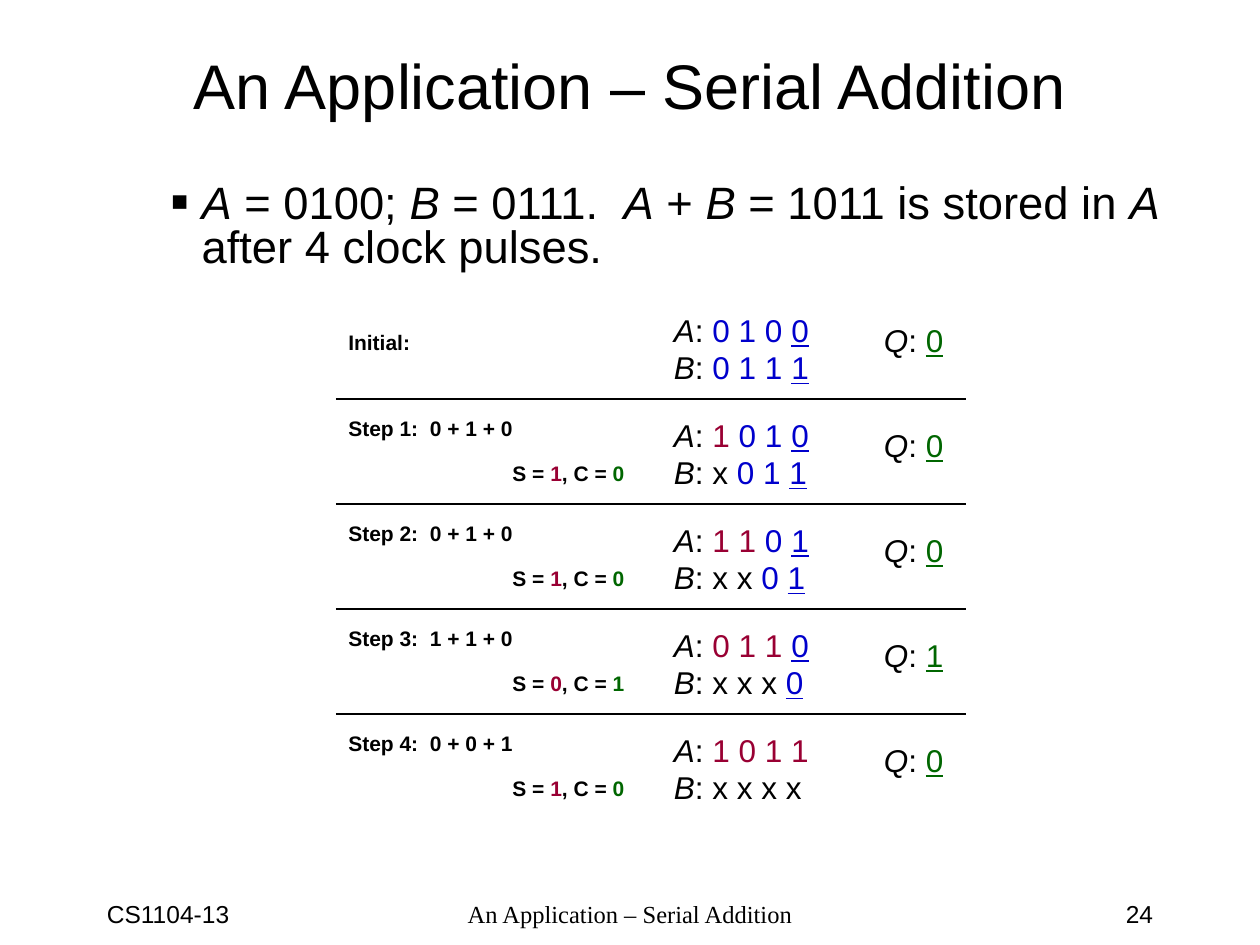
from lxml import etree
from pptx import Presentation
from pptx import util as u
from pptx.dml.color import RGBColor
from pptx.enum import shapes, text
from pptx.oxml.ns import qn

PX = 9525
COLORS = {"black": "000000", "blue": "0000CC", "red": "990033", "green": "006600"}
ALIGN = text.PP_ALIGN


def add_runs(p, runs, size, font="Arial", bold=False):
    for words, style in runs:
        if words:
            r = p.add_run()
            r.text = words
            f = r.font
            f.name, f.size, f.bold = font, u.Pt(size), bold
            f.italic, f.underline = "i" in style.split(), "u" in style.split()
            color = next((c for c in style.split() if c in COLORS), "black")
            f.color.rgb = RGBColor.from_string(COLORS[color])


def add_box(parent, x, y, w, h):
    tf = parent.shapes.add_textbox(x * PX, y * PX, w * PX, h * PX).text_frame
    tf.word_wrap = True
    return tf


prs = Presentation()
prs.slide_width, prs.slide_height = 960 * PX, 720 * PX
s = prs.slides.add_slide(prs.slide_layouts[1])

heading = "An Application – Serial Addition"
footers = [
    (72, 200, "CS1104-13", "Arial", ALIGN.LEFT),
    (328, 304, heading, "Times New Roman", ALIGN.CENTER),
    (688, 200, "24", "Arial", ALIGN.RIGHT),
]
for x, w, words, font, align in footers:
    p = add_box(s, x, 680, w, 24).paragraphs[0]
    p.alignment = align
    add_runs(p, [(words, "")], 14, font)

title, body = s.placeholders
for sp, (x, y, w, h) in ((title, (72, 32, 816, 64)), (body, (120, 136, 792, 80))):
    sp.left, sp.top, sp.width, sp.height = x * PX, y * PX, w * PX, h * PX
    sp.text_frame.auto_size = text.MSO_AUTO_SIZE.NONE

title.text_frame.vertical_anchor = text.MSO_ANCHOR.MIDDLE
p = title.text_frame.paragraphs[0]
p.alignment = ALIGN.CENTER
add_runs(p, [(heading, "")], 36)

p = body.text_frame.paragraphs[0]
pPr = p._p.get_or_add_pPr()
pPr.set("marL", str(24 * PX))
pPr.set("indent", str(-24 * PX))
clr = etree.SubElement(pPr, qn("a:buClr"))
etree.SubElement(clr, qn("a:srgbClr"), val=COLORS["black"])
etree.SubElement(pPr, qn("a:buSzPct"), val="120000")
etree.SubElement(pPr, qn("a:buFont"), typeface="Arial")
etree.SubElement(pPr, qn("a:buChar"), char="▪")
p.line_spacing = 0.8
p.space_before = u.Pt(0)
add_runs(p, [
    ("A", "i"), (" = 0100; ", ""), ("B", "i"), (" = 0111.  ", ""),
    ("A", "i"), (" + ", ""), ("B", "i"), (" = 1011 is stored in ", ""),
    ("A", "i"), (" after 4 clock pulses.", ""),
], 25.9)

steps = [
    ("", "", "", "0100", "0111", "0"),
    ("0 + 1 + 0", "1", "0", "1010", "x011", "0"),
    ("0 + 1 + 0", "1", "0", "1101", "xx01", "0"),
    ("1 + 1 + 0", "0", "1", "0110", "xxx0", "1"),
    ("0 + 0 + 1", "1", "0", "1011", "xxxx", "0"),
]
for k, (total, bit, carry, a, b, q) in enumerate(steps):
    y = 232 + 80 * k
    g = s.shapes.add_group_shape()

    if k == 0:
        p = add_box(g, 256, y + 14, 88, 48).paragraphs[0]
        add_runs(p, [("Initial:", "")], 12, bold=True)
    else:
        tf = add_box(g, 256, y, 232, 67)
        add_runs(tf.paragraphs[0], [(f"Step {k}:  {total}", "")], 12, bold=True)
        p = tf.add_paragraph()
        p._p.get_or_add_pPr().set("marL", str(125 * PX))
        p.space_before = u.Pt(11)
        add_runs(p, [("S = ", ""), (bit, "red"), (", C = ", ""), (carry, "green")],
                 12, bold=True)

    tf = add_box(g, 504, y, 128, 67)
    registers = (("A", a, "red", tf.paragraphs[0]), ("B", b, "black", tf.add_paragraph()))
    for name, bits, shifted, p in registers:
        row = " ".join(bits)
        add_runs(p, [
            (name, "i"), (": ", ""), (row[:2 * k], shifted),
            (row[2 * k:6], "blue"), (row[max(6, 2 * k):], "blue u"),
        ], 18)

    p = add_box(g, 664, y + 8, 72, 38).paragraphs[0]
    add_runs(p, [("Q", "i"), (": ", ""), (q, "green u")], 18)

    if k:
        ln = g.shapes.add_connector(shapes.MSO_CONNECTOR.STRAIGHT,
                                    256 * PX, (y - 8) * PX, 736 * PX, (y - 8) * PX)
        ln.line.color.rgb = RGBColor.from_string(COLORS["black"])
        ln.line.width = u.Pt(1.25)
        etree.SubElement(ln._element.spPr, qn("a:effectLst"))

prs.save("out.pptx")
